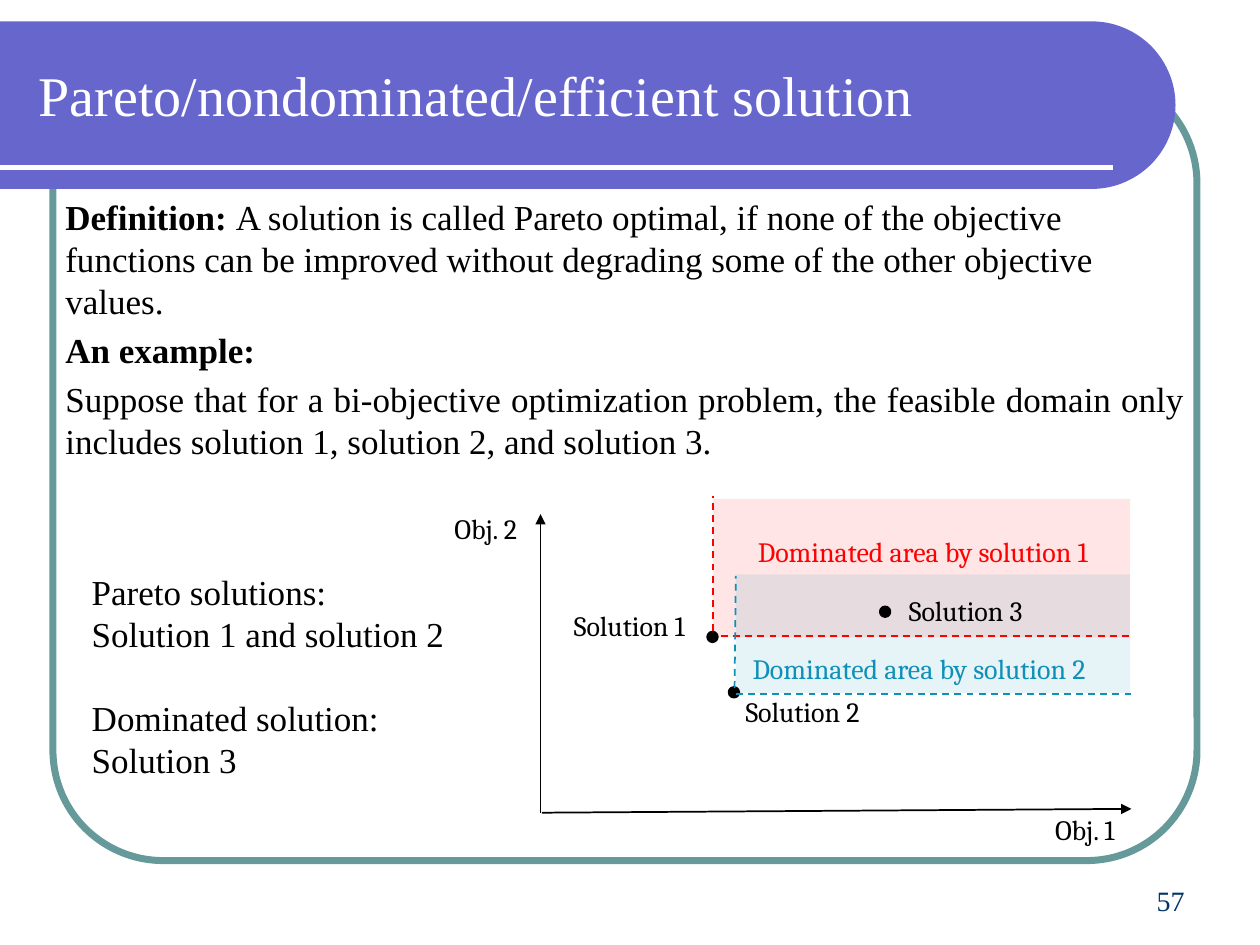
import math
from dataclasses import dataclass

import pptx
import pptx.dml.color
import pptx.enum.dml
import pptx.enum.shapes
import pptx.enum.text
import pptx.oxml.ns
import pptx.util
from lxml import etree

RGB = pptx.dml.color.RGBColor
SHAPE = pptx.enum.shapes.MSO_SHAPE
ALIGN = pptx.enum.text.PP_ALIGN
ANCHOR = pptx.enum.text.MSO_ANCHOR
DASH = pptx.enum.dml.MSO_LINE.DASH

BLACK = RGB(0x00, 0x00, 0x00)
WHITE = RGB(0xFF, 0xFF, 0xFF)
VIOLET = RGB(0x66, 0x66, 0xCC)
TEAL = RGB(0x66, 0x99, 0x99)
NAVY = RGB(0x00, 0x33, 0x66)
RED = RGB(0xFF, 0x00, 0x00)
BLUE = RGB(0x0E, 0x90, 0xB8)

SERIF = "Times New Roman"
LABEL = "Cambria"

# The slide is a grid of 100 columns by 75 rows of square cells
COLS, ROWS = 100, 75
CELL = pptx.util.Inches(0.1)


@dataclass
class Box:
    col: float
    row: float
    wide: float
    high: float

    def place(self) -> list:
        return [grid(n) for n in (self.col, self.row, self.wide, self.high)]


@dataclass
class Para:
    runs: list  # pairs of text and bold
    align: object = ALIGN.LEFT
    gap: float = 0


@dataclass
class Style:
    size: float
    color: object = BLACK
    font: str = SERIF
    anchor: object = ANCHOR.TOP


@dataclass
class Stroke:
    start: tuple
    end: tuple
    color: object = BLACK
    width: float = 1
    dash: bool = False
    arrow: bool = False


@dataclass
class Tag:
    text: str
    box: Box
    color: object = BLACK


def grid(cells: float) -> int:
    return round(cells * CELL)


def child(parent, name: str, **attrs):
    return etree.SubElement(parent, pptx.oxml.ns.qn(name), **attrs)


def write(slide, box: Box, paras: list, style: Style) -> None:
    frame = slide.shapes.add_textbox(*box.place()).text_frame
    frame.word_wrap = True
    frame.vertical_anchor = style.anchor
    for i, para in enumerate(paras):
        line = frame.add_paragraph() if i else frame.paragraphs[0]
        line.alignment = para.align
        line.space_before = pptx.util.Pt(para.gap)
        line.font.name = style.font
        line.font.size = pptx.util.Pt(style.size)
        line.font.color.rgb = style.color
        for text, bold in para.runs:
            run = line.add_run()
            run.text = text
            if bold:
                run.font.bold = True


def paint(shape, fill=None, line=None, width: float = 1, alpha: int = 100) -> None:
    shape.shadow.inherit = False
    if fill is None:
        shape.fill.background()
    else:
        shape.fill.solid()
        shape.fill.fore_color.rgb = fill
        if alpha < 100:
            tint = shape.fill._xPr.find(".//" + pptx.oxml.ns.qn("a:srgbClr"))
            child(tint, "a:alpha", val=str(alpha * 1000))
    if line is None:
        shape.line.fill.background()
    else:
        shape.line.color.rgb = line
        shape.line.width = pptx.util.Pt(width)


def draw(slide, stroke: Stroke) -> None:
    ends = [grid(n) for n in (*stroke.start, *stroke.end)]
    link = slide.shapes.add_connector(pptx.enum.shapes.MSO_CONNECTOR.STRAIGHT, *ends)
    link.line.color.rgb = stroke.color
    link.line.width = pptx.util.Pt(stroke.width)
    if stroke.dash:
        link.line.dash_style = DASH
    if stroke.arrow:
        child(link.line._get_or_add_ln(), "a:tailEnd", type="triangle")
    child(link._element.spPr, "a:effectLst")


def banner(slide, top: float, base: float, right: float) -> None:
    """Fill a band from the left edge that ends in a half circle."""
    rad = (base - top) / 2
    hub = right - rad
    turns = [math.radians(a) for a in range(-90, 91, 3)]
    arc = [(grid(hub + rad * math.cos(t)), grid(top + rad + rad * math.sin(t)))
           for t in turns]
    build = slide.shapes.build_freeform(0, grid(top))
    build.add_line_segments(arc + [(0, grid(base))], close=True)
    paint(build.convert_to_shape(), VIOLET)


def main() -> None:
    deck = pptx.Presentation()
    deck.slide_width, deck.slide_height = grid(COLS), grid(ROWS)
    slide = deck.slides.add_slide(deck.slide_layouts[6])

    # Frame and title band
    frame = slide.shapes.add_shape(SHAPE.ROUNDED_RECTANGLE,
                                   *Box(4.2, 5.8, 90.8, 62.5).place())
    frame.adjustments[0] = 0.14
    paint(frame, line=TEAL, width=4)
    banner(slide, 1.7, 15, 93.3)
    draw(slide, Stroke((0, 13.3), (88.3, 13.3), WHITE, 3))
    write(slide, Box(2.1, 2.5, 87.7, 10),
          [Para([("Pareto/nondominated/efficient solution", False)])],
          Style(32, WHITE, anchor=ANCHOR.MIDDLE))
    write(slide, Box(78.3, 68.3, 16.7, 5), [Para([("57", False)], ALIGN.RIGHT)],
          Style(16, NAVY, anchor=ANCHOR.BOTTOM))

    # Definition and example
    write(slide, Box(4.2, 15, 90.8, 50.8), [
        Para([("Definition: ", True),
              ("A solution is called Pareto optimal, if none of the objective "
               "functions can be improved without degrading some of the other "
               "objective values.", False)]),
        Para([("An example:", True)], ALIGN.JUSTIFY, 4),
        Para([("Suppose that for a bi-objective optimization problem, the feasible "
               "domain only includes solution 1, solution 2, and solution 3.", False)],
             ALIGN.JUSTIFY, 4),
    ], Style(20))

    # Dominated areas
    for box, color in ((Box(56.6, 39.6, 33.1, 11), RED),
                       (Box(58.4, 45.6, 31.3, 9.4), BLUE)):
        area = slide.shapes.add_shape(SHAPE.RECTANGLE, *box.place())
        paint(area, color, alpha=10)

    # Axes
    draw(slide, Stroke((43, 64.5), (89.8, 64.2), arrow=True))
    draw(slide, Stroke((42.9, 64.5), (42.9, 40.8), arrow=True))

    # Solution points
    for col, row in ((56.2, 50.2), (69.9, 48.2), (57.9, 54.6)):
        dot = slide.shapes.add_shape(SHAPE.OVAL, *Box(col, row, 0.7, 0.7).place())
        paint(dot, BLACK, BLACK, 2)

    # Area borders
    for start, end, color in (((56.6, 50.1), (56.6, 39.4), RED),
                              ((89.6, 50.5), (56.9, 50.5), RED),
                              ((58.3, 54.6), (58.4, 45.7), BLUE),
                              ((89.8, 55.1), (58.4, 55.1), BLUE)):
        draw(slide, Stroke(start, end, color, dash=True))

    # Chart labels
    for tag in (Tag("Solution 1", Box(43.7, 47.8, 12.5, 3.7)),
                Tag("Solution 2", Box(57.5, 54.6, 12.4, 3.7)),
                Tag("Solution 3", Box(70.3, 46.6, 12.7, 3.7)),
                Tag("Obj. 1", Box(82.1, 64, 8, 3.7)),
                Tag("Obj. 2", Box(34.1, 40.1, 8.9, 3.7)),
                Tag("Dominated area by solution 1", Box(56.7, 41.9, 33.1, 3.7), RED),
                Tag("Dominated area by solution 2", Box(56.4, 51.2, 33.1, 3.7), BLUE)):
        write(slide, tag.box, [Para([(tag.text, False)], ALIGN.CENTER)],
              Style(16, tag.color, LABEL))

    # Findings
    finds = (("Pareto solutions:", 0), ("Solution 1 and solution 2", 0),
             ("Dominated solution:", 24), ("Solution 3", 0))
    write(slide, Box(6.3, 44.8, 31.3, 17.8),
          [Para([(text, False)], ALIGN.JUSTIFY, gap) for text, gap in finds],
          Style(20))

    deck.save("out.pptx")


if __name__ == "__main__":
    main()
